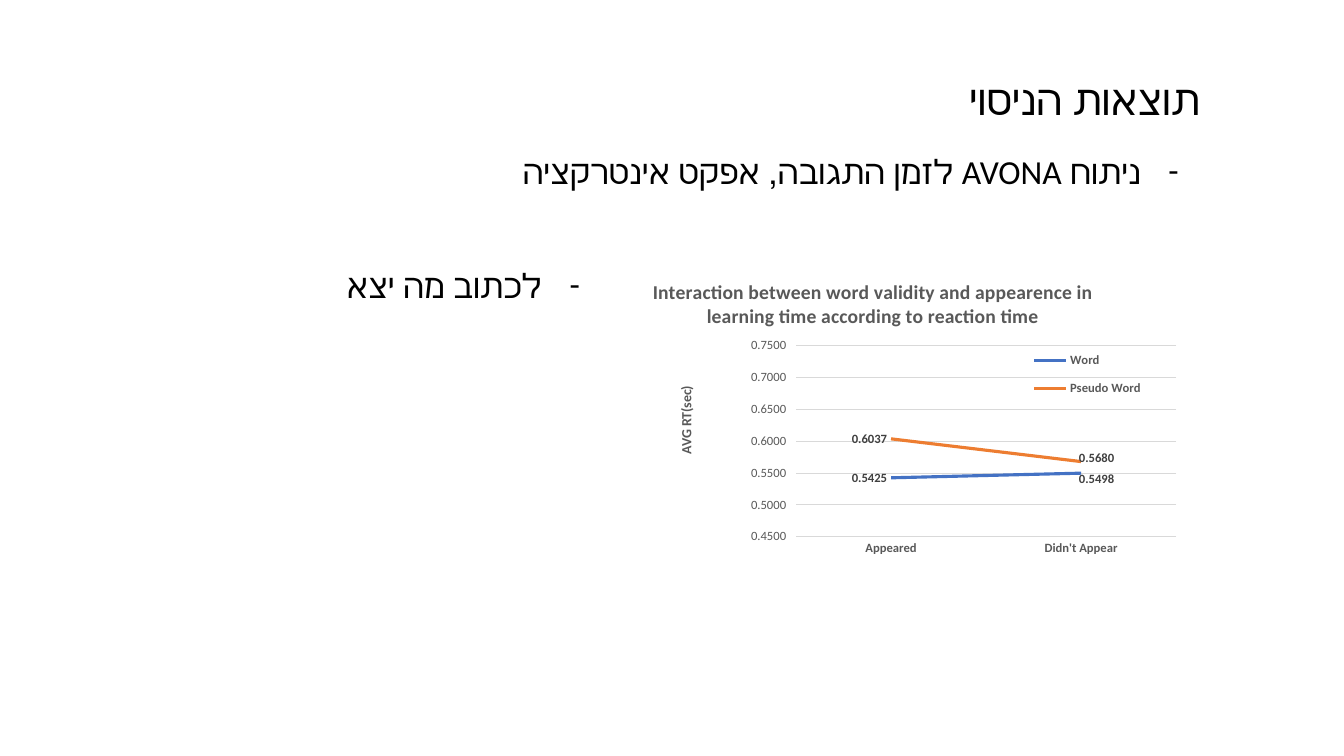
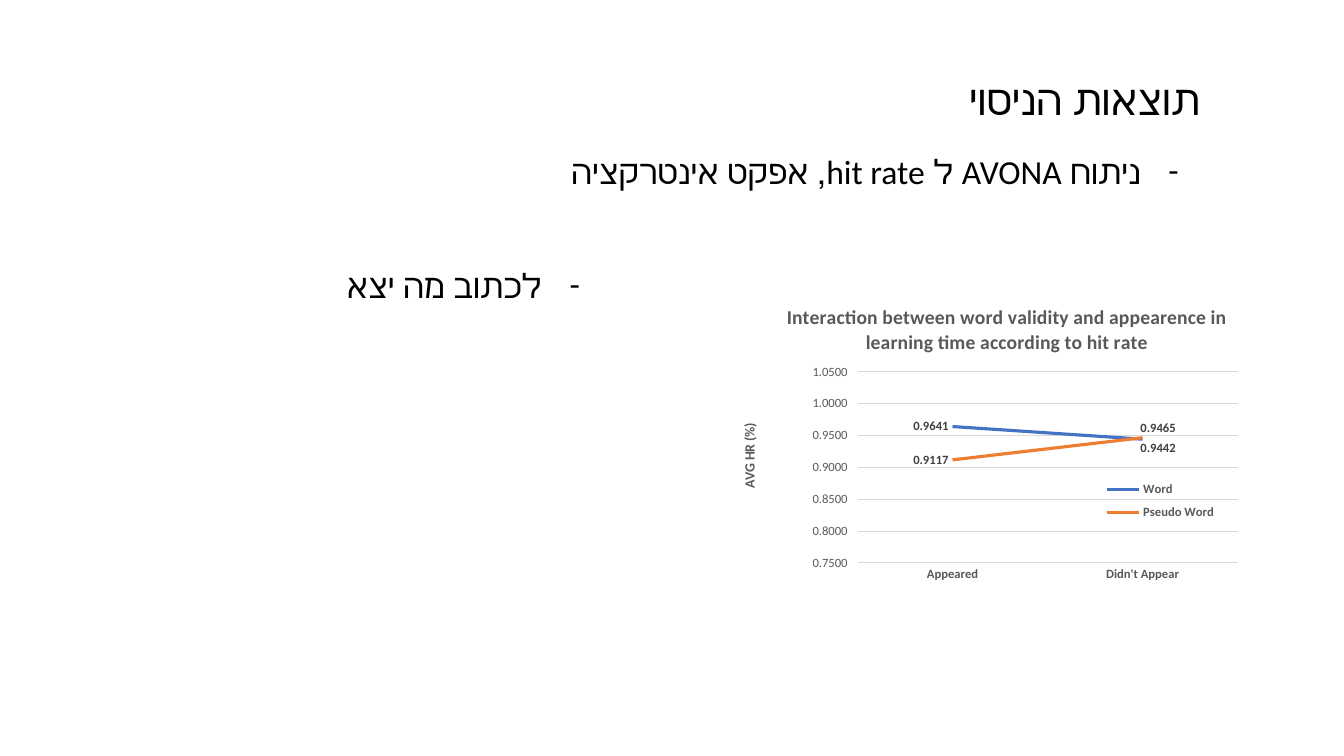
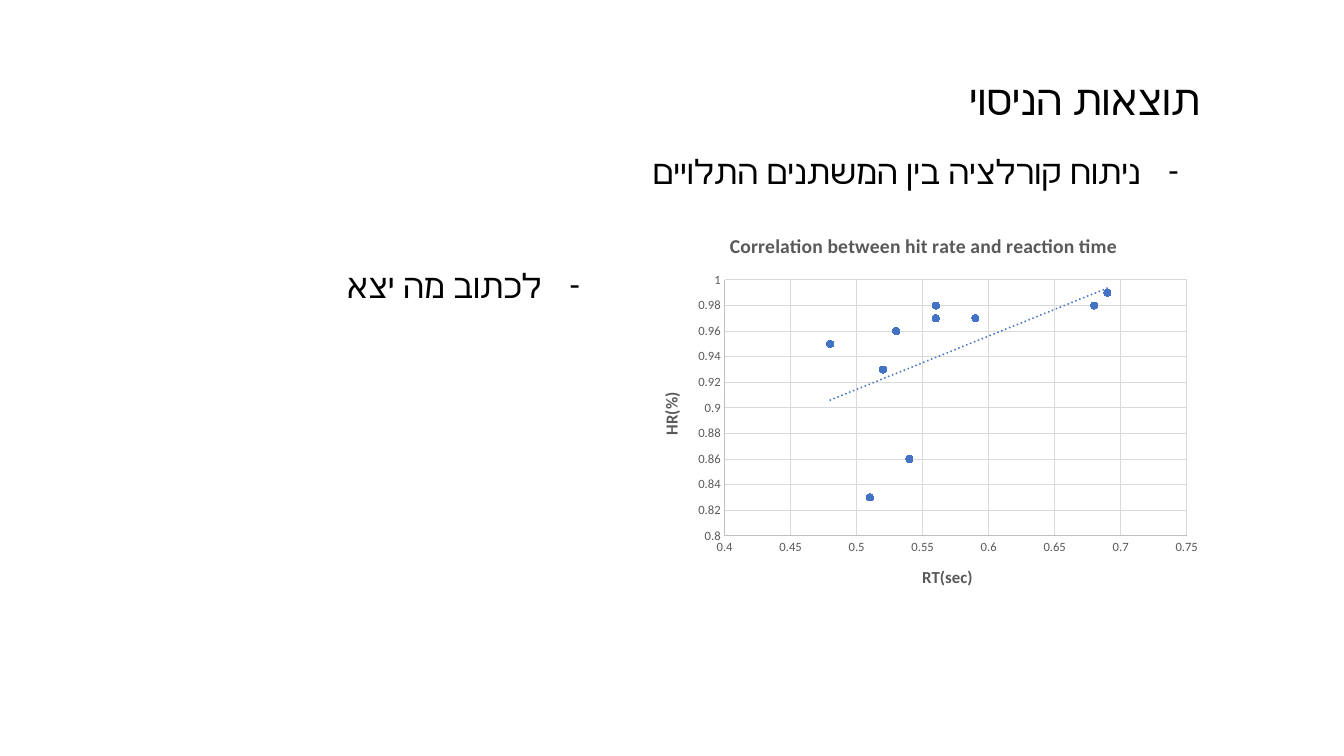
from dataclasses import dataclass

from lxml import etree
from pptx import Presentation
from pptx.chart import data as cd
from pptx.dml.color import RGBColor
from pptx.enum import chart as ce, text as te
from pptx.oxml import parse_xml
from pptx.oxml.ns import nsdecls, qn
from pptx.util import Pt

FONT = "Calibri"
HEX = {"ink": "000000", "gray": "595959", "label": "404040", "grid": "D9D9D9",
       "axis": "BFBFBF", "blue": "4472C4", "orange": "ED7D31"}
HEAD = "תוצאות הניסוי "
NOTE = "לכתוב מה יצא"
Box = tuple[float, float, float, float]
Spot = tuple[float, float]
HEAD_BOX: Box = (273.6, 49, 598.3, 43.9)
TOPIC_BOX: Box = (250.6, 104.4, 598.3, 36)
NOTE_BOX: Box = (96.5, 185.8, 324.7, 36)
CATS = ("Didn't Appear", "Appeared")


@dataclass
class Line:
    name: str
    vals: tuple[float, float]
    color: str
    shift: Spot  # nudge of the label at the first point


@dataclass
class Lines:
    topic: str
    box: Box
    title: str
    title_at: Spot
    unit: str
    unit_at: Spot
    low: float
    high: float
    legend: Box
    rows: tuple[Line, Line]


# Text
def paint(font, size: float, color: str = "gray", bold: bool = False) -> None:
    font.name, font.size, font.bold = FONT, Pt(size), bold
    font.color.rgb = RGBColor.from_string(HEX[color])


def write(frame, words: str, *, size: float, color: str = "ink",
          bold: bool = False, align=None, bullet: str = "") -> None:
    para = frame.paragraphs[0]
    run = para.add_run()
    run.text = words
    paint(run.font, size, color, bold)
    if align is not None:
        para.alignment = align
    if bullet:
        props = para._p.get_or_add_pPr()
        for key, val in (("rtl", "1"), ("marL", "342900"), ("indent", "-342900")):
            props.set(key, val)
        etree.SubElement(props, qn("a:buFont"), typeface=FONT)
        etree.SubElement(props, qn("a:buChar"), char=bullet)


def fill_box(shape, box: Box, words: str, size: float, bullet: str = "") -> None:
    shape.left, shape.top, shape.width, shape.height = map(Pt, box)
    frame = shape.text_frame
    frame.word_wrap = True
    frame.auto_size = te.MSO_AUTO_SIZE.SHAPE_TO_FIT_TEXT
    frame.vertical_anchor = te.MSO_ANCHOR.TOP
    write(frame, words, size=size, align=te.PP_ALIGN.RIGHT, bullet=bullet)


def add_page(deck, topic: str):
    page = deck.slides.add_slide(deck.slide_layouts[5])
    fill_box(page.shapes.title, HEAD_BOX, HEAD, 30)
    for box, words in ((TOPIC_BOX, topic), (NOTE_BOX, NOTE)):
        fill_box(page.shapes.add_textbox(*map(Pt, box)), box, words, 24, "-")
    return page


# Chart parts
def place(node, spot: tuple[float, ...], slot: int = 1, mode: str = "edge") -> None:
    """Give a chart part a manual layout in fractions of the chart."""
    old = node.find(qn("c:layout"))
    if old is not None:
        node.remove(old)
    layout = parse_xml(f"<c:layout {nsdecls('c')}><c:manualLayout/></c:layout>")
    items = []
    if slot == 0:
        items.append(("layoutTarget", "inner"))
    if mode == "edge":
        items += [("xMode", "edge"), ("yMode", "edge")]
    items += zip("xywh", spot)
    for tag, val in items:
        etree.SubElement(layout[0], qn(f"c:{tag}"), val=str(val))
    node.insert(slot, layout)


def add_chart(page, kind, box: Box, data, title: str, spot: Spot, plot: Box):
    chart = page.shapes.add_chart(kind, *map(Pt, box), data).chart
    paint(chart.font, 10, "ink")
    chart.has_title = True
    write(chart.chart_title.text_frame, title, size=14, color="gray", bold=True)
    place(chart.chart_title._element, spot)
    place(chart._chartSpace.chart.plotArea, plot, slot=0)
    chart.has_legend = False
    return chart


def stroke(line, color: str, width: float = 0.75) -> None:
    line.color.rgb = RGBColor.from_string(HEX[color])
    line.width = Pt(width)


def set_axis(axis, color: str = "", grid: bool = True, bold: bool = False) -> None:
    axis.major_tick_mark = axis.minor_tick_mark = ce.XL_TICK_MARK.NONE
    paint(axis.tick_labels.font, 9, bold=bold)
    axis.has_major_gridlines = grid
    if grid:
        stroke(axis.major_gridlines.format.line, "grid")
    if color:
        stroke(axis.format.line, color)
    else:
        axis.format.line.fill.background()


def set_scale(axis, low: float, high: float, step: float, form: str) -> None:
    axis.minimum_scale, axis.maximum_scale, axis.major_unit = low, high, step
    axis.tick_labels.number_format = form
    axis.tick_labels.number_format_is_linked = False


def name_axis(axis, words: str, size: float, spot: Spot, turn: bool = False) -> None:
    title = axis.axis_title
    write(title.text_frame, words, size=size, color="gray", bold=True)
    place(title._element, spot)
    if turn:
        body = title._element.find(".//" + qn("a:bodyPr"))
        body.set("rot", "-5400000")
        body.set("vert", "horz")


def draw_lines(deck, item: Lines) -> None:
    page = add_page(deck, item.topic)
    data = cd.CategoryChartData(number_format="0.0000")
    data.categories = CATS
    for row in item.rows:
        data.add_series(row.name, row.vals)
    chart = add_chart(page, ce.XL_CHART_TYPE.LINE, item.box, data, item.title,
                      item.title_at, (0.362, 0.285, 0.618, 0.636))
    # Axes: categories run from right to left, value labels stay on the left
    cat, val = chart.category_axis, chart.value_axis
    set_axis(cat, "grid", grid=False, bold=True)
    cat.reverse_order = True
    set_axis(val)
    val.tick_label_position = ce.XL_TICK_LABEL_POSITION.HIGH
    set_scale(val, item.low, item.high, 0.05, "0.0000")
    name_axis(val, item.unit, 10, item.unit_at, turn=True)
    # Legend
    chart.has_legend = True
    chart.legend.position = ce.XL_LEGEND_POSITION.LEFT
    chart.legend.include_in_layout = False
    paint(chart.legend.font, 9, bold=True)
    place(chart.legend._element, item.legend)
    # Series and labels
    chart.plots[0].vary_by_categories = False
    for row, line in zip(item.rows, chart.plots[0].series):
        line.smooth = False
        stroke(line.format.line, row.color, 2.25)
        line.marker.style = ce.XL_MARKER_STYLE.NONE
        tags = line.data_labels
        tags.show_value = True
        tags.position = ce.XL_LABEL_POSITION.LEFT
        tags.number_format, tags.number_format_is_linked = "0.0000", False
        paint(tags.font, 9, "label", True)
        tag = line.points[0].data_label
        tag.position = ce.XL_LABEL_POSITION.RIGHT
        paint(tag.font, 9, "label", True)
        place(tags._element.find(qn("c:dLbl")), row.shift, mode="factor")


def draw_dots(deck, topic: str, dots: tuple[Spot, ...]) -> None:
    page = add_page(deck, topic)
    data = cd.XyChartData()
    row = data.add_series("Series 1")
    for x, y in dots:
        row.add_data_point(x, y)
    chart = add_chart(page, ce.XL_CHART_TYPE.XY_SCATTER, (456.5, 155.5, 407.5, 280),
                      data, "Correlation between hit rate and reaction time",
                      (0.153, 0.027), (0.15, 0.159, 0.81, 0.653))
    across, up = chart.category_axis, chart.value_axis
    for axis in (across, up):
        set_axis(axis, "axis")
    set_scale(across, 0.4, 0.75, 0.05, "General")
    set_scale(up, 0.8, 1, 0.02, "General")
    name_axis(across, "RT(sec)", 12, (0.491, 0.88))
    name_axis(up, "HR(%)", 12, (0.031, 0.438), turn=True)
    # Markers
    chart.plots[0].vary_by_categories = False
    line = chart.plots[0].series[0]
    line.format.line.fill.background()
    mark = line.marker
    mark.style, mark.size = ce.XL_MARKER_STYLE.CIRCLE, 5
    mark.format.fill.solid()
    mark.format.fill.fore_color.rgb = RGBColor.from_string(HEX["blue"])
    stroke(mark.format.line, "blue")
    # Linear trend
    line._element.find(qn("c:xVal")).addprevious(parse_xml(
        f'<c:trendline {nsdecls("c", "a")}><c:spPr><a:ln w="{Pt(1.5)}" cap="rnd">'
        f'<a:solidFill><a:srgbClr val="{HEX["blue"]}"/></a:solidFill>'
        '<a:prstDash val="sysDot"/></a:ln></c:spPr><c:trendlineType val="linear"/>'
        '<c:dispRSqr val="0"/><c:dispEq val="0"/></c:trendline>'))


# Content
STEM = "Interaction between word validity and appearence in learning time according to "
PAGES = (
    Lines("ניתוח AVONA לזמן התגובה, אפקט אינטרקציה",
          (409.7, 185.8, 439.2, 214.6), STEM + "reaction time", (0.123, 0.048),
          "AVG RT(sec)", (0.164, 0.41), 0.45, 0.75, (0.741, 0.265, 0.19, 0.23),
          (Line("Word", (0.5498, 0.5425), "blue", (-0.01, 0.02)),
           Line("Pseudo Word", (0.568, 0.6037), "orange", (-0.01, -0.01)))),
    Lines("ניתוח AVONA ל hit rate, אפקט אינטרקציה",
          (453.6, 204.5, 439.2, 214.6), STEM + "hit rate", (0.241, 0.046),
          "AVG HR (%)", (0.167, 0.446), 0.75, 1.05, (0.76, 0.625, 0.19, 0.18),
          (Line("Word", (0.9442, 0.9641), "blue", (-0.01, 0.03)),
           Line("Pseudo Word", (0.9465, 0.9117), "orange", (-0.01, -0.03)))),
)
DOTS = ((0.51, 0.83), (0.56, 0.97), (0.59, 0.97), (0.52, 0.93), (0.68, 0.98),
        (0.48, 0.95), (0.56, 0.98), (0.54, 0.86), (0.69, 0.99), (0.53, 0.96))

deck = Presentation()
deck.slide_width, deck.slide_height = Pt(960), Pt(540)
for item in PAGES:
    draw_lines(deck, item)
draw_dots(deck, "ניתוח קורלציה בין המשתנים התלויים", DOTS)
deck.save("out.pptx")
